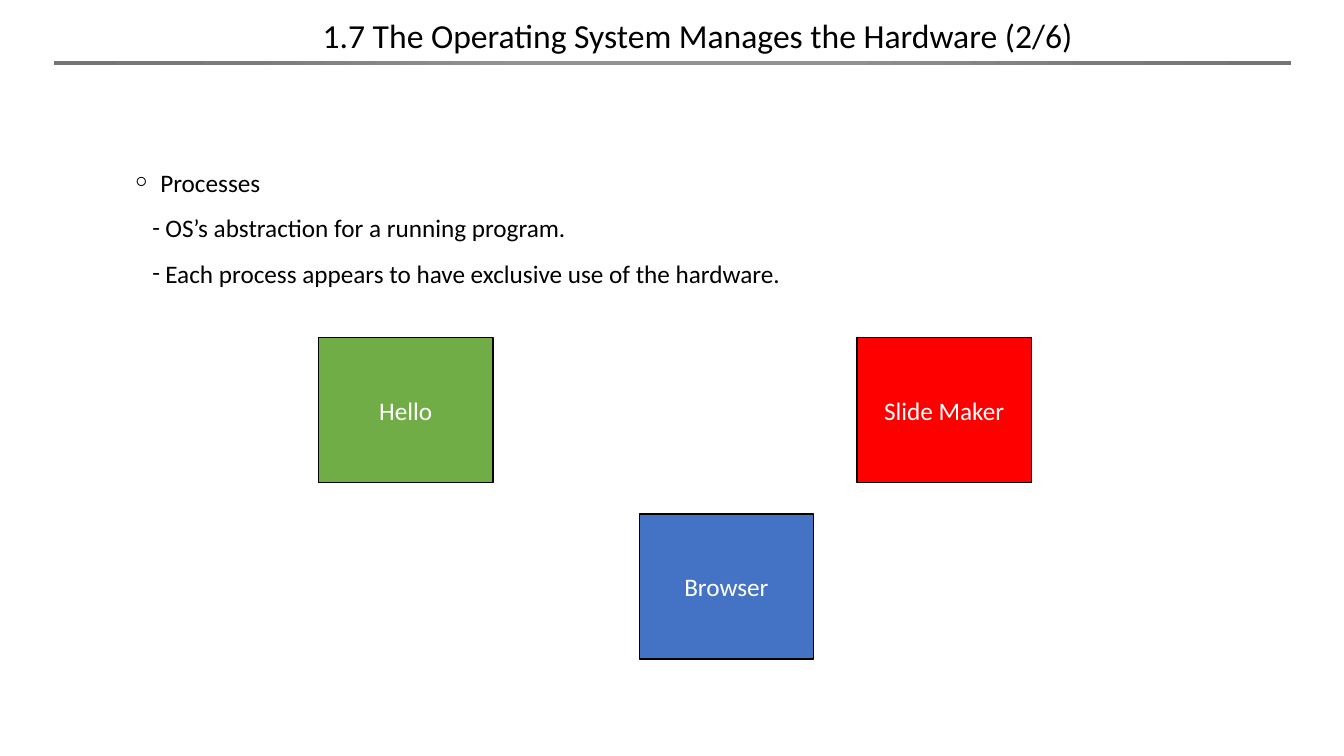
from dataclasses import dataclass

from lxml import etree
from pptx import Presentation
from pptx.dml.color import RGBColor as RGB
from pptx.enum.shapes import MSO_SHAPE as Shape
from pptx.enum.text import MSO_ANCHOR as Anchor, MSO_AUTO_SIZE as Fit, PP_ALIGN as Align
from pptx.oxml import parse_xml
from pptx.oxml.ns import nsdecls, qn
from pptx.util import Inches, Pt


@dataclass(frozen=True)
class Theme:
    font: str = "Calibri"
    head: int = 24
    text: int = 18
    ink: str = "000000"
    paper: str = "FFFFFF"
    green: str = "70AD47"
    red: str = "FF0000"
    blue: str = "4472C4"
    bar: tuple = ((0, "939393"), (23, "939393"), (69, "7C7C7C"), (97, "747474"))


THEME = Theme()


def place(shape, box):
    shape.left, shape.top, shape.width, shape.height = map(Inches, box)


def style(par, size, color, align):
    par.alignment = align
    for run in par.runs:
        run.font.name = THEME.font
        run.font.size = Pt(size)
        run.font.color.rgb = RGB.from_string(color)


def add_rect(slide, box, line):
    rect = slide.shapes.add_shape(Shape.RECTANGLE, *map(Inches, box))
    rect.shadow.inherit = False
    rect.line.color.rgb = RGB.from_string(line)
    rect.line.width = Pt(1)
    return rect


# Title with the shaded rule below it
def add_head(slide, box, text):
    left, top, width, height = box
    rule = add_rect(slide, (left, top + 0.5, width, 0.05), THEME.paper)
    stops = "".join(f'<a:gs pos="{pos * 1000}"><a:srgbClr val="{color}"/></a:gs>'
                    for pos, color in THEME.bar)
    fill = parse_xml(
        f'<a:gradFill {nsdecls("a")} rotWithShape="1"><a:gsLst>{stops}</a:gsLst>'
        '<a:path path="circle"><a:fillToRect l="50000" t="50000" r="50000" b="50000"/>'
        '</a:path></a:gradFill>')
    rule.element.spPr.find(qn("a:prstGeom")).addnext(fill)

    title = slide.shapes.title
    place(title, (left + 2.57, top, 7.81, 0.5))
    frame = title.text_frame
    frame.text = text
    frame.auto_size = Fit.NONE
    frame.vertical_anchor = Anchor.TOP
    style(frame.paragraphs[0], THEME.head, THEME.ink, Align.LEFT)


# Topic with its dashed points: mark, margin, hanging indent, text
def add_list(slide, box, items):
    body = slide.placeholders[1]
    place(body, box)
    frame = body.text_frame
    frame.text = "\n".join(item[-1] for item in items)
    frame.auto_size = Fit.NONE
    frame.vertical_anchor = Anchor.TOP
    for par, (mark, margin, hang, _) in zip(frame.paragraphs, items):
        props = par._p.get_or_add_pPr()
        props.set("marL", str(Inches(margin)))
        props.set("indent", str(-Inches(hang)))
        etree.SubElement(props, qn("a:buFont")).set("typeface", THEME.font)
        etree.SubElement(props, qn("a:buChar")).set("char", mark)
        par.line_spacing = 1.5
        par.space_before = Pt(0)
        style(par, THEME.text, THEME.ink, Align.LEFT)


# Running programs: offset in the region, fill, name
def add_tasks(slide, box, tasks):
    left, top = box[:2]
    for across, down, color, name in tasks:
        rect = add_rect(slide, (left + across, top + down, 1.73, 1.44), THEME.ink)
        rect.fill.solid()
        rect.fill.fore_color.rgb = RGB.from_string(color)
        frame = rect.text_frame
        frame.text = name
        frame.word_wrap = True
        frame.vertical_anchor = Anchor.MIDDLE
        style(frame.paragraphs[0], THEME.text, THEME.paper, Align.CENTER)


def main():
    deck = Presentation()
    deck.slide_width, deck.slide_height = Inches(13.33), Inches(7.5)
    slide = deck.slides.add_slide(deck.slide_layouts[1])
    add_head(slide, (0.53, 0.1, 12.28, 0.55),
             "1.7 The Operating System Manages the Hardware (2/6)")
    add_list(slide, (1.24, 1.46, 7.31, 1.6), [
        ("￮", 0.25, 0.25, "Processes"),
        ("-", 0.3, 0.13, "OS’s abstraction for a running program."),
        ("-", 0.3, 0.13, "Each process appears to have exclusive use of the hardware."),
    ])
    add_tasks(slide, (3.16, 3.35, 7.07, 3.19), [
        (0, 0, THEME.green, "Hello"),
        (5.34, 0, THEME.red, "Slide Maker"),
        (3.18, 1.75, THEME.blue, "Browser"),
    ])
    deck.save("out.pptx")


if __name__ == "__main__":
    main()
